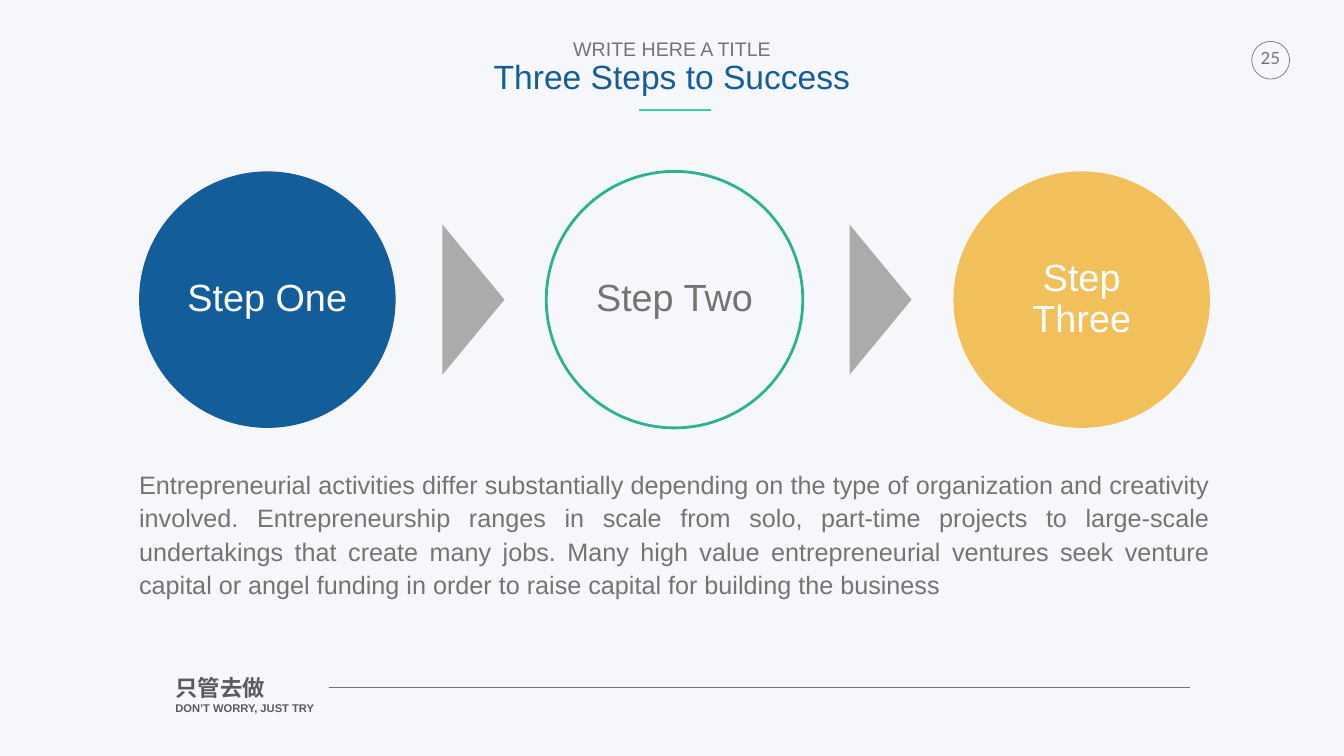
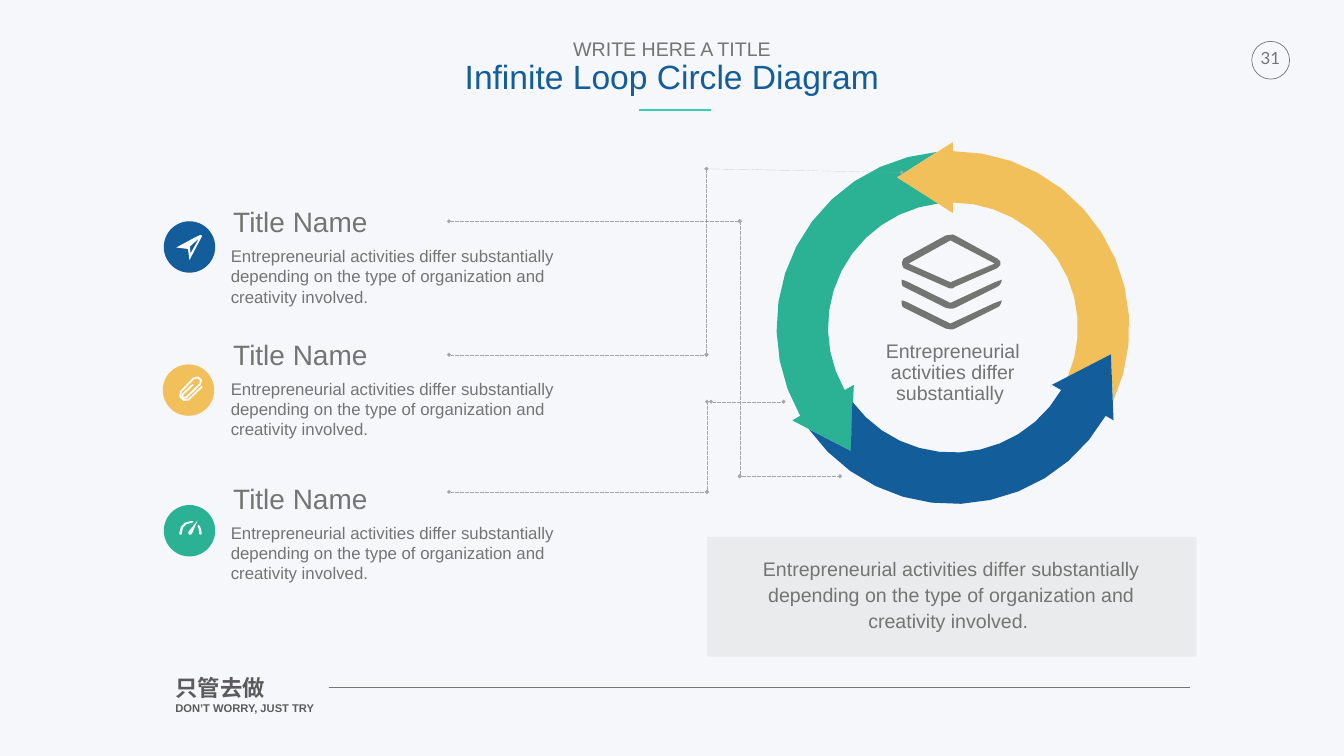
from dataclasses import dataclass
from math import cos, radians, sin
from typing import NamedTuple, Optional

from lxml.etree import SubElement
from pptx import Presentation
from pptx.dml.color import RGBColor
from pptx.enum.dml import MSO_LINE
from pptx.enum.shapes import MSO_CONNECTOR, MSO_SHAPE
from pptx.enum.text import MSO_ANCHOR, PP_ALIGN
from pptx.oxml.ns import qn
from pptx.util import Inches, Pt

# The grid has one-inch cells: 26.67 columns by 15 rows.
CELL = Inches(1)
COLS, ROWS = 26.67, 15

PAPER, WHITE = "F6F7FA", "FFFFFF"
INK, FOOTER_INK = "737572", "5B5B5B"
BLUE, GREEN, YELLOW = "135D9A", "2BB294", "F1C05A"
MINT, ARROW_GRAY, LEADER_GRAY, PANEL_GRAY = "33D1AD", "ABACAA", "A6A6A6", "D9D9D9"

LEFT, CENTER, JUSTIFY = PP_ALIGN.LEFT, PP_ALIGN.CENTER, PP_ALIGN.JUSTIFY

SUMMARY = ("Entrepreneurial activities differ substantially depending on "
           "the type of organization and creativity involved.")
DETAILS = (" Entrepreneurship ranges in scale from solo, part-time projects to "
           "large-scale undertakings that create many jobs. Many high value "
           "entrepreneurial ventures seek venture capital or angel funding in "
           "order to raise capital for building the business")


class Box(NamedTuple):
    col: float
    row: float
    cols: float
    rows: float


class Para(NamedTuple):
    text: str
    size: float
    color: str = INK
    bold: bool = False
    font: str = "Arial"


@dataclass
class Step:
    label: str
    fill: str
    ink: str
    text_rows: float = 2.74
    outline: Optional[str] = None


@dataclass
class Topic:
    row: float
    disc: Box
    color: str
    icon: list
    stroke: float = 0


# Outlines: a pair is a corner, six numbers are a Bezier curve.
PLANE = [
    [(.75, .28), (.73, .26, .72, .28, .66, .30), (.25, .52), (.48, .55), (.51, .77),
     (.72, .37), (.75, .31, .77, .29, .75, .28)],
    [(.70, .34), (.53, .64), (.52, .50)],
]
CLIP = [
    [(.78, .44), (.51, .70), (.43, .76, .28, .64, .36, .54), (.61, .28),
     (.68, .20, .83, .32, .74, .39), (.47, .65), (.42, .69, .35, .65, .40, .59),
     (.60, .40)],
]
GAUGE = [
    [(.49, .53), (.48, .55, .49, .57, .51, .59), (.52, .59, .55, .59, .56, .57),
     (.67, .31)],
    [(.53, .36), (.56, .36), (.59, .32), (.53, .32), (.41, .32, .31, .42, .31, .55),
     (.31, .57), (.31, .59, .33, .59, .34, .59), (.36, .57), (.36, .55),
     (.36, .44, .43, .36, .53, .36)],
    [(.69, .39), (.67, .43), (.70, .46, .70, .51, .70, .55), (.70, .57), (.73, .59),
     (.75, .57), (.75, .55), (.75, .49, .73, .43, .69, .39)],
]
CHEVRON = [(0, .90), (.04, .90, .14, .95, .14, .95), (.97, 1.36), (1.85, .95),
           (1.99, .90), (1.99, .95, 1.94, 1.04, 1.90, 1.04), (1.06, 1.46),
           (1.02, 1.48, .97, 1.48, .88, 1.46), (.04, 1.04), (0, 1.03, 0, .95, 0, .90)]
STACK = [
    [(.04, .67), (.88, 1.04), (.97, 1.09, 1.02, 1.09, 1.06, 1.04), (1.90, .67),
     (1.99, .62, 1.99, .53, 1.90, .48), (1.06, .02),
     (1.02, -.02, .97, .02, .88, .02), (.04, .48), (0, .53, 0, .62, .04, .67)],
    [(.97, .12), (1.85, .58), (.97, .95), (.14, .58)],
]

STEPS = [Step("Step One", BLUE, WHITE), Step("Step Two", PAPER, INK, outline=GREEN),
         Step("Step Three", YELLOW, WHITE, 3.56)]
TOPICS = [
    Topic(3.96, Box(3.25, 4.39, 1.02, 1.02), BLUE, PLANE),
    Topic(6.59, Box(3.23, 7.23, 1.02, 1.02), YELLOW, CLIP, 2.5),
    Topic(9.45, Box(3.25, 10.02, 1.02, 1.02), GREEN, GAUGE),
]
LEADERS = [
    [(8.91, 4.39), (14.68, 4.39), (14.68, 9.45), (16.67, 9.45)],
    [(8.91, 7.04), (14.02, 7.04), (14.02, 3.35), (17.89, 3.42)],
    [(8.91, 9.76), (14.03, 9.76), (14.03, 7.97)],
    [(14.11, 7.97), (15.55, 7.97)],
]


def emu(cells: float) -> int:
    return int(round(cells * CELL))


def rgb(color: str) -> RGBColor:
    return RGBColor.from_string(color)


def paint(sp, fill: Optional[str], line: Optional[str] = None, width: float = 1,
          alpha: Optional[int] = None) -> None:
    sp.shadow.inherit = False
    if fill:
        sp.fill.solid()
        sp.fill.fore_color.rgb = rgb(fill)
    else:
        sp.fill.background()
    if alpha:
        clr = sp.fill._xPr.find(qn("a:solidFill"))[0]
        SubElement(clr, qn("a:alpha")).set("val", str(alpha * 1000))
    if line:
        sp.line.color.rgb = rgb(line)
        sp.line.width = Pt(width)
    else:
        sp.line.fill.background()


def add_preset(s, kind, box: Box, fill: Optional[str], line: Optional[str] = None,
               width: float = 1, alpha: Optional[int] = None) -> None:
    sp = s.shapes.add_shape(kind, *map(emu, box))
    paint(sp, fill, line, width, alpha)


def add_text(s, box: Box, paras: list[Para], align=LEFT, spacing: float = 1,
             inset: float = 0, anchor=MSO_ANCHOR.TOP, wrap: bool = True) -> None:
    tf = s.shapes.add_textbox(*map(emu, box)).text_frame
    tf.word_wrap = wrap
    tf.vertical_anchor = anchor
    tf.margin_left = tf.margin_right = tf.margin_top = tf.margin_bottom = emu(inset)
    for i, para in enumerate(paras):
        p = tf.paragraphs[0] if i == 0 else tf.add_paragraph()
        p.alignment = align
        p.line_spacing = spacing
        r = p.add_run()
        r.text = para.text
        r.font.name = para.font
        r.font.size = Pt(para.size)
        r.font.bold = para.bold
        r.font.color.rgb = rgb(para.color)


def add_line(s, start: tuple, end: tuple, color: str, width: float,
             leader: bool = False) -> None:
    """Draw a straight line; a leader is dashed with a diamond at each end."""
    c = s.shapes.add_connector(MSO_CONNECTOR.STRAIGHT, *map(emu, (*start, *end)))
    c.line.color.rgb = rgb(color)
    c.line.width = Pt(width)
    if leader:
        c.line.dash_style = MSO_LINE.DASH
        for tag in ("a:headEnd", "a:tailEnd"):
            SubElement(c.line._get_or_add_ln(), qn(tag)).set("type", "diamond")
    SubElement(c._element.spPr, qn("a:effectLst"))


def flatten(outline: list, steps: int = 3) -> list[tuple]:
    """Turn the Bezier curves of an outline into short straight pieces."""
    points = []
    for node in outline:
        if len(node) == 2:
            points.append(node)
            continue
        x0, y0 = points[-1]
        x1, y1, x2, y2, x3, y3 = node
        for i in range(1, steps + 1):
            t = i / steps
            a, b, c, d = (1 - t) ** 3, 3 * t * (1 - t) ** 2, 3 * t * t * (1 - t), t ** 3
            points.append((a * x0 + b * x1 + c * x2 + d * x3,
                           a * y0 + b * y1 + c * y2 + d * y3))
    return points


def add_outline(s, outlines: list, col: float, row: float, color: str,
                stroke: float = 0) -> None:
    """Draw outlines placed at a cell, filled or, with a stroke, as an open line."""
    fb = None
    for outline in outlines:
        first, *rest = [(emu(col + x), emu(row + y)) for x, y in flatten(outline)]
        if fb is None:
            fb = s.shapes.build_freeform(*first)
        else:
            fb.move_to(*first)
        fb.add_line_segments(rest, close=not stroke)
    sp = fb.convert_to_shape()
    if stroke:
        paint(sp, None, color, stroke)
    else:
        paint(sp, color)


def polar(radius: float, degrees: float) -> tuple:
    return radius * cos(radians(degrees)), radius * sin(radians(degrees))


def arc(radius: float, start: float, end: float, steps: int = 12) -> list[tuple]:
    return [polar(radius, start + (end - start) * i / steps) for i in range(steps + 1)]


def add_ring_arrow(s, turn: float, color: str) -> None:
    """Draw a third of the loop; its tail is notched for the arrow behind it."""
    base = turn - 90
    outline = [*arc(3.5, base, turn + 24.8), polar(3.18, turn + 9.6),
               *arc(2.48, turn + 23.6, base), polar(2.27, base),
               polar(3.18, turn - 110.4), polar(3.68, base)]
    add_outline(s, [outline], 18.91, 6.5, color)


def add_base_slide(prs, number: str, title: str, title_cols: float):
    s = prs.slides.add_slide(prs.slide_layouts[6])
    s.background.fill.solid()
    s.background.fill.fore_color.rgb = rgb(PAPER)
    add_preset(s, MSO_SHAPE.OVAL, Box(24.84, .82, .75, .75), None, INK)
    add_text(s, Box(3.43, 13.33, 3.99, .99),
             [Para("只管去做", 32, FOOTER_INK, True),
              Para("DON’T WORRY, JUST TRY", 16, FOOTER_INK, True)], inset=.05)
    add_line(s, (6.52, 13.64), (23.62, 13.64), INK, .25)
    add_text(s, Box(24.92, .95, .58, .5), [Para(number, 24, font="Lato")],
             CENTER, wrap=False)
    add_text(s, Box((COLS - title_cols) / 2, .74, title_cols, 1.33),
             [Para("WRITE HERE A TITLE", 28), Para(title, 48, BLUE)],
             CENTER, .9, .05, wrap=False)
    add_line(s, (14.11, 2.18), (12.68, 2.18), MINT, 3)
    return s


def build_steps(prs) -> None:
    s = add_base_slide(prs, "25", "Three Steps to Success", 7.19)
    left, top, size, pitch = 2.76, 3.4, 5.09, 8.08
    middle = top + size / 2
    for i, step in enumerate(STEPS):
        col = left + i * pitch
        add_preset(s, MSO_SHAPE.OVAL, Box(col, top, size, size), step.fill,
                   step.outline, 4)
        add_text(s, Box(col, middle - step.text_rows / 2, size, step.text_rows),
                 [Para(step.label, 54, step.ink)], CENTER, .9, .92, MSO_ANCHOR.MIDDLE)
        if i < len(STEPS) - 1:
            add_outline(s, [[(0, -1.49), (1.23, 0), (0, 1.49)]],
                        col + 6.02, middle, ARROW_GRAY)
    add_text(s, Box(left, 9.29, 21.24, 2.57), [Para(SUMMARY + DETAILS, 36)],
             JUSTIFY, 1.1, anchor=MSO_ANCHOR.MIDDLE)


def build_loop(prs) -> None:
    s = add_base_slide(prs, "31", "Infinite Loop Circle Diagram", 8.34)
    for turn, color in ((-120, GREEN), (0, YELLOW), (120, BLUE)):
        add_ring_arrow(s, turn, color)
    for topic in TOPICS:
        disc = topic.disc
        add_preset(s, MSO_SHAPE.OVAL, disc, topic.color)
        add_outline(s, topic.icon, disc.col, disc.row, WHITE, topic.stroke)
        add_text(s, Box(4.53, topic.row, 6.55, .87), [Para("Title Name", 40)], inset=.1)
        add_text(s, Box(4.53, topic.row + .87, 6.55, 1.31), [Para(SUMMARY, 24)], inset=.05)
    add_preset(s, MSO_SHAPE.RECTANGLE, Box(14.03, 10.65, 9.71, 2.38), PANEL_GRAY, alpha=40)
    add_text(s, Box(14.68, 11.02, 8.38, 1.51), [Para(SUMMARY + " ", 28)], CENTER, 1.1,
             anchor=MSO_ANCHOR.MIDDLE)
    for leader in LEADERS:
        for start, end in zip(leader, leader[1:]):
            add_line(s, start, end, LEADER_GRAY, .25, leader=True)
    lower_chevron = [tuple(v + .41 * (i % 2) for i, v in enumerate(node))
                     for node in CHEVRON]
    add_outline(s, [*STACK, CHEVRON, lower_chevron], 17.89, 4.65, INK)
    add_text(s, Box(17.04, 6.68, 3.73, 1.51),
             [Para("Entrepreneurial activities differ substantially ", 28)],
             CENTER, .89, .1)


def main() -> None:
    prs = Presentation()
    prs.slide_width, prs.slide_height = emu(COLS), emu(ROWS)
    build_steps(prs)
    build_loop(prs)
    prs.save("out.pptx")


if __name__ == "__main__":
    main()
